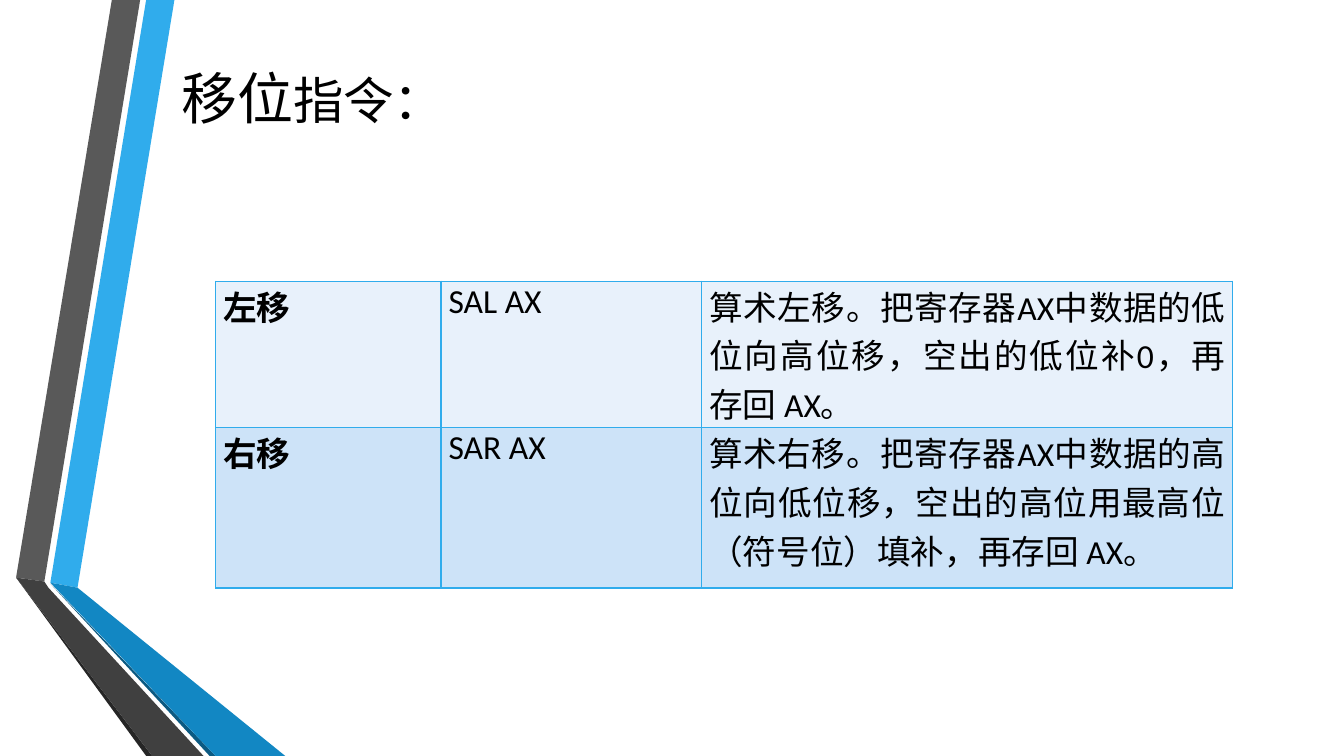
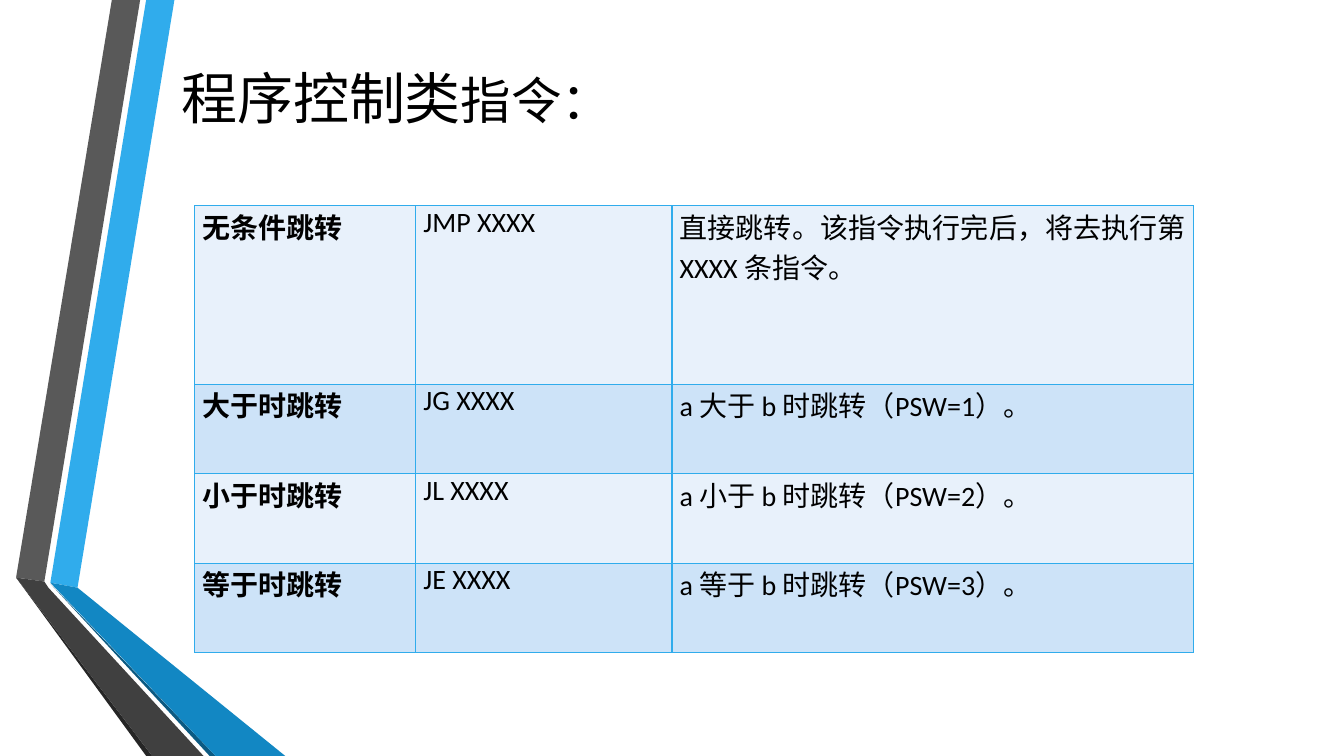
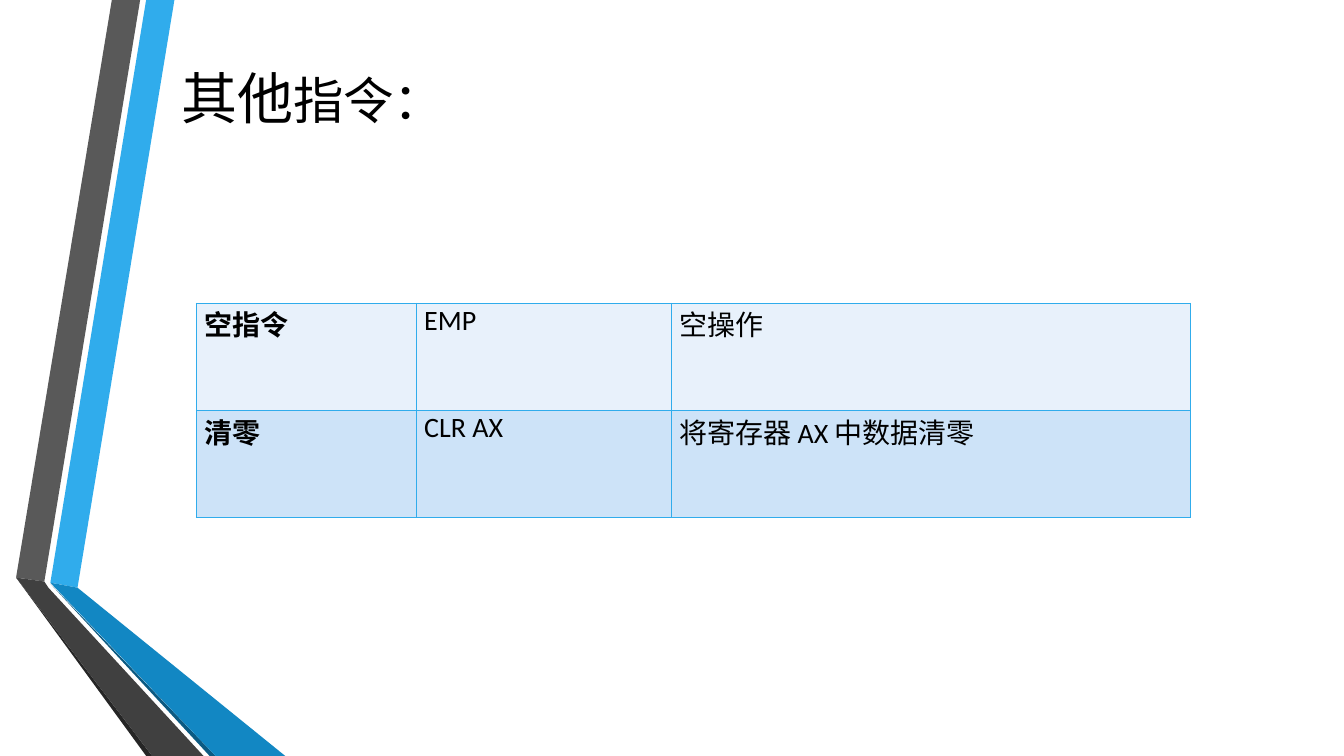
from pptx import Presentation
from pptx import util as u
from pptx.dml.color import RGBColor
from pptx.enum import lang, text
from pptx.oxml import parse_xml
from pptx.oxml.ns import nsdecls

Pt = u.Pt
BLACK = RGBColor(0, 0, 0)
SKY = RGBColor(0x30, 0xAC, 0xEC)
BLUE = RGBColor(0x12, 0x87, 0xC3)
NAVY = RGBColor(0x0C, 0x5A, 0x82)
GREY = RGBColor(0x59, 0x59, 0x59)
DARK = RGBColor(0x40, 0x40, 0x40)
COAL = RGBColor(0x26, 0x26, 0x26)
TINTS = [RGBColor(0xE8, 0xF1, 0xFB), RGBColor(0xCD, 0xE3, 0xF8)]
FONT = "Calibri"
SHARES = [0.2215, 0.2565, 0.522]

BANDS = [
    (SKY, [(36, 416.2), (55.4, 419.8), (124.6, 0), (104.4, 0)]),
    (GREY, [(100.1, 0), (79.9, 0), (11.5, 412.6), (31.7, 415.4)]),
    (COAL, [(11.5, 412.6), (104.4, 540), (108.7, 540)]),
    (NAVY, [(36, 416.9), (149.8, 540), (154.1, 540)]),
    (BLUE, [(36, 416.2), (154.1, 540), (203.8, 540), (55.4, 419.8)]),
    (DARK, [(145.4, 540), (34.6, 419.8), (31.7, 415.4), (11.5, 412.6),
            (108.7, 540)]),
]

PAGES = [
    ("移位", 24, (154.1, 200.9, 726.5), [
        (104.6, "左移", "SAL AX",
         "算术左移。把寄存器AX中数据的低位向高位移，空出的低位补0，再存回 AX。"),
        (114.5, "右移", "SAR AX",
         "算术右移。把寄存器AX中数据的高位向低位移，空出的高位用最高位（符号位）填补，再存回 AX。"),
    ]),
    ("程序控制类", 20, (139, 146.9, 713.5), [
        (127.5, "无条件跳转", "JMP XXXX",
         "直接跳转。该指令执行完后，将去执行第 XXXX 条指令。"),
        (64, "大于时跳转", "JG XXXX", "a 大于 b 时跳转（PSW=1）。"),
        (64, "小于时跳转", "JL XXXX", "a 小于 b 时跳转（PSW=2）。"),
        (64, "等于时跳转", "JE XXXX", "a 等于 b 时跳转（PSW=3）。"),
    ]),
    ("其他", 20, (140.4, 216.7, 710), [
        (76.5, "空指令", "EMP", "空操作"),
        (76.5, "清零", "CLR AX", "将寄存器 AX 中数据清零"),
    ]),
]


def write(para, words, size=20, bold=False, align=text.PP_ALIGN.LEFT):
    para.alignment = align
    run = para.add_run()
    run.text = words
    font = run.font
    font.name = FONT
    font.size = Pt(size)
    font.bold = bold
    font.color.rgb = BLACK
    font.language_id = lang.MSO_LANGUAGE_ID.SIMPLIFIED_CHINESE


def style(cell, tint):
    cell.margin_left = cell.margin_right = Pt(5.4)
    cell.margin_top = cell.margin_bottom = 0
    props = cell._tc.get_or_add_tcPr()
    for side in "LRTB":
        props.append(parse_xml(
            f'<a:ln{side} {nsdecls("a")} w="12700"><a:solidFill>'
            f'<a:srgbClr val="{SKY}"/></a:solidFill></a:ln{side}>'))
    cell.fill.solid()
    cell.fill.fore_color.rgb = tint


deck = Presentation()
deck.slide_width = Pt(960)
deck.slide_height = Pt(540)

for topic, size, (left, top, width), rows in PAGES:
    slide = deck.slides.add_slide(deck.slide_layouts[6])

    for hue, points in BANDS:
        spots = [(Pt(x), Pt(y)) for x, y in points]
        path = slide.shapes.build_freeform(*spots[0])
        path.add_line_segments(spots[1:], close=True)
        band = path.convert_to_shape()
        band.shadow.inherit = False
        band.fill.solid()
        band.fill.fore_color.rgb = hue
        band.line.fill.background()

    title = slide.shapes.add_textbox(Pt(122.4), 0, Pt(789), Pt(138.2))
    frame = title.text_frame
    frame.word_wrap = True
    frame.vertical_anchor = text.MSO_ANCHOR.MIDDLE
    write(frame.paragraphs[0], topic, size=40)
    write(frame.paragraphs[0], "指令：", size=36)

    height = sum(row[0] for row in rows)
    table = slide.shapes.add_table(len(rows), len(SHARES), Pt(left), Pt(top),
                                   Pt(width), Pt(height)).table
    table.first_row = table.horz_banding = False
    for col, share in zip(table.columns, SHARES):
        col.width = Pt(width * share)
    for r, (tall, *words) in enumerate(rows):
        table.rows[r].height = Pt(tall)
        for c, word in enumerate(words):
            cell = table.cell(r, c)
            style(cell, TINTS[r % 2])
            write(cell.text_frame.paragraphs[0], word, size=size,
                  bold=c == 0, align=text.PP_ALIGN.JUSTIFY)

deck.save("out.pptx")
